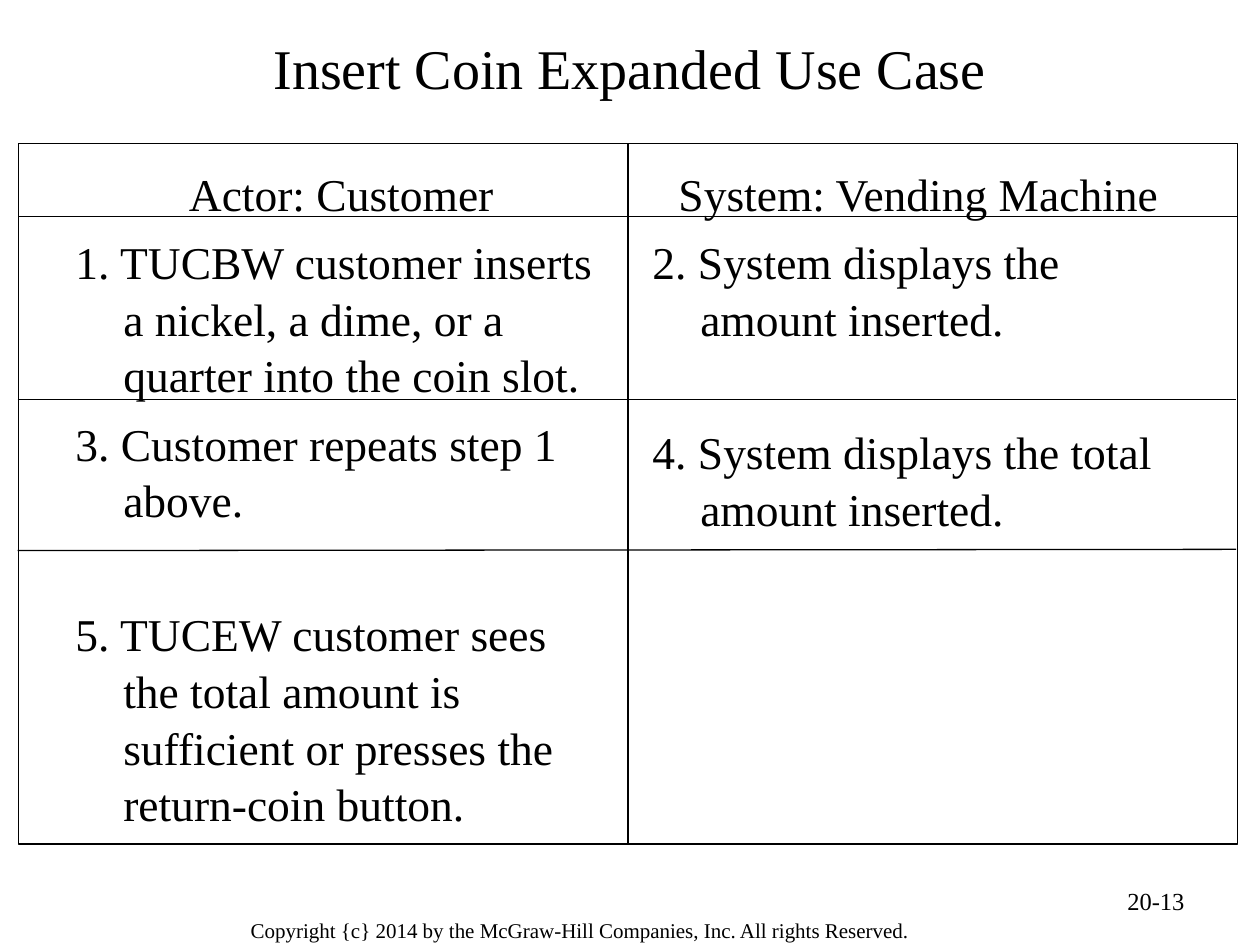
"""Build the expanded use case slide: a ruled two-column actor and system dialogue."""
from pptx import Presentation
from pptx.dml.color import RGBColor
from pptx.enum.shapes import MSO_CONNECTOR, MSO_SHAPE
from pptx.enum.text import MSO_ANCHOR, PP_ALIGN
from pptx.oxml.ns import qn
from pptx.util import Inches, Pt

COLOURS = {"ink": "000000"}
FONT = "Times New Roman"
TITLE = "Insert Coin Expanded Use Case"
COPYRIGHT = "Copyright {c} 2014 by the McGraw-Hill Companies, Inc. All rights Reserved."
PAGE_NUMBER = "20-13"

STEP_GAP, ROW_GAP = 6.5, 44
COLUMNS = [
    (0.5, "Actor: Customer", [
        ("1. TUCBW customer inserts a nickel, a dime, or a quarter into the coin slot.", STEP_GAP),
        ("3. Customer repeats step 1 above.", STEP_GAP),
        ("5. TUCEW customer sees the total amount is sufficient or presses the "
         "return-coin button.", ROW_GAP),
    ]),
    (5.08, "System: Vending Machine", [
        ("2. System displays the amount inserted.", STEP_GAP),
        ("4. System displays the total amount inserted.", ROW_GAP),
    ]),
]
FRAME = (0.15, 1.14, 9.67, 5.56)
ROW_RULES = [(0.15, 1.72, 1.72), (0.14, 3.17, 3.17), (0.14, 4.37, 4.36)]


def ink():
    return RGBColor.from_string(COLOURS["ink"])


def style_paragraph(paragraph, text, size, alignment=PP_ALIGN.LEFT):
    paragraph.text = text
    paragraph.alignment = alignment
    paragraph.font.name = FONT
    paragraph.font.size = Pt(size)
    paragraph.font.color.rgb = ink()


def add_text(slide, box, text, size, alignment=PP_ALIGN.LEFT, anchor=MSO_ANCHOR.TOP):
    frame = slide.shapes.add_textbox(*map(Inches, box)).text_frame
    frame.word_wrap = True
    frame.vertical_anchor = anchor
    style_paragraph(frame.paragraphs[0], text, size, alignment)
    return frame


def add_column(slide, left, heading, steps):
    frame = add_text(slide, (left, 1.25, 4.42, 5.68), heading, 26, PP_ALIGN.CENTER)
    for text, gap in steps:
        paragraph = frame.add_paragraph()
        style_paragraph(paragraph, text, 26)
        paragraph.space_before = Pt(gap)
    for paragraph in frame.paragraphs:
        paragraph.line_spacing = 1.04
        properties = paragraph._p.get_or_add_pPr()
        properties.set("marL", str(Inches(0.38)))
        properties.set("indent", str(Inches(-0.38)))


def add_rule(slide, *ends):
    rule = slide.shapes.add_connector(MSO_CONNECTOR.STRAIGHT, *map(Inches, ends))
    rule.line.color.rgb = ink()
    rule.line.width = Pt(0.75)
    properties = rule._element.spPr
    properties.append(properties.makeelement(qn("a:effectLst"), {}))
    return rule


def add_grid(slide):
    left, top, width, height = FRAME
    for start, start_y, end_y in ROW_RULES:
        add_rule(slide, start, start_y, start + width, end_y)
    frame = slide.shapes.add_shape(MSO_SHAPE.RECTANGLE, *map(Inches, FRAME))
    frame.shadow.inherit = False
    frame.fill.background()
    frame.line.color.rgb = ink()
    frame.line.width = Pt(0.75)
    middle = left + width / 2
    divider = add_rule(slide, middle, top, middle, top + height)
    divider.begin_connect(frame, 0)
    divider.end_connect(frame, 2)


def main():
    presentation = Presentation()
    presentation.slide_width, presentation.slide_height = Inches(10), Inches(7.5)
    slide = presentation.slides.add_slide(presentation.slide_layouts[6])
    copyright_frame = add_text(slide, (1.88, 7.22, 6.19, 0.31), COPYRIGHT, 12)
    copyright_frame.margin_left = copyright_frame.margin_right = Inches(0.11)
    copyright_frame.margin_top = copyright_frame.margin_bottom = Inches(0.06)
    add_text(slide, (7.17, 6.98, 2.33, 0.52), PAGE_NUMBER, 14, PP_ALIGN.RIGHT)
    add_text(slide, (0.5, 0.15, 9, 0.77), TITLE, 32, PP_ALIGN.CENTER, MSO_ANCHOR.MIDDLE)
    for column in COLUMNS:
        add_column(slide, *column)
    add_grid(slide)
    presentation.save("out.pptx")


if __name__ == "__main__":
    main()
